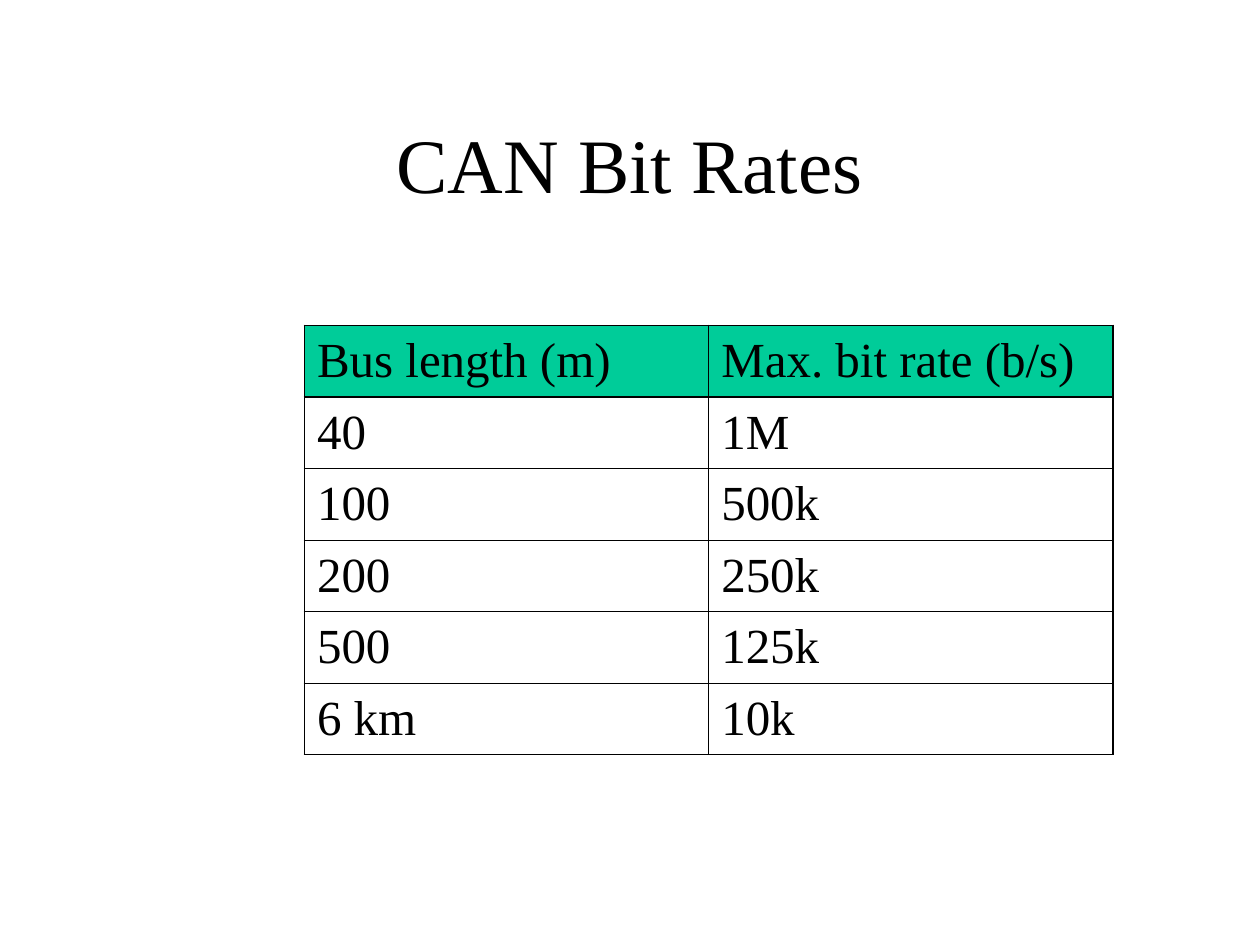
from lxml import etree
from pptx import Presentation
from pptx import util as u
from pptx.dml import color
from pptx.enum import text
from pptx.oxml import ns

FONT = "Times New Roman"
THICK, THIN = 1.08, 0.45


def style_text(paragraph, size):
    for run in paragraph.runs:
        run.font.name = FONT
        run.font.size = u.Pt(size)
        run.font.color.rgb = color.RGBColor.from_string("000000")


def add_border(cell, side, width):
    properties = cell._tc.get_or_add_tcPr()
    line = etree.SubElement(properties, ns.qn(f"a:{side}"), w=str(u.Pt(width)))
    fill = etree.SubElement(line, ns.qn("a:solidFill"))
    etree.SubElement(fill, ns.qn("a:srgbClr"), val="000000")


presentation = Presentation()
presentation.slide_width = u.Pt(720)
presentation.slide_height = u.Pt(540)
slide = presentation.slides.add_slide(presentation.slide_layouts[6])

title = slide.shapes.add_textbox(u.Pt(54), u.Pt(48), u.Pt(612), u.Pt(90))
title.text_frame.word_wrap = True
title.text_frame.vertical_anchor = text.MSO_ANCHOR.MIDDLE
title.text_frame.text = "CAN Bit Rates"
title_paragraph = title.text_frame.paragraphs[0]
title_paragraph.alignment = text.PP_ALIGN.CENTER
style_text(title_paragraph, 44)

bit_rates = [
    ("Bus length (m)", "Max. bit rate (b/s)"),
    ("40", "1M"),
    ("100", "500k"),
    ("200", "250k"),
    ("500", "125k"),
    ("6 km", "10k"),
]
last_row, last_column = len(bit_rates) - 1, len(bit_rates[0]) - 1

table = slide.shapes.add_table(
    len(bit_rates), len(bit_rates[0]), u.Pt(174), u.Pt(186), u.Pt(462), u.Pt(244.8)
).table
table.horz_banding = False

for row, values in enumerate(bit_rates):
    for column, value in enumerate(values):
        cell = table.cell(row, column)
        cell.vertical_anchor = text.MSO_ANCHOR.MIDDLE
        cell.text_frame.text = value
        style_text(cell.text_frame.paragraphs[0], 28)

        thick_sides = {
            "lnL": column == 0,
            "lnR": column == last_column,
            "lnT": row <= 1,
            "lnB": row in (0, last_row),
        }
        for side, is_thick in thick_sides.items():
            add_border(cell, side, THICK if is_thick else THIN)

        if row == 0:
            cell.fill.solid()
            cell.fill.fore_color.rgb = color.RGBColor.from_string("00CC99")
        else:
            cell.fill.background()

presentation.save("out.pptx")
